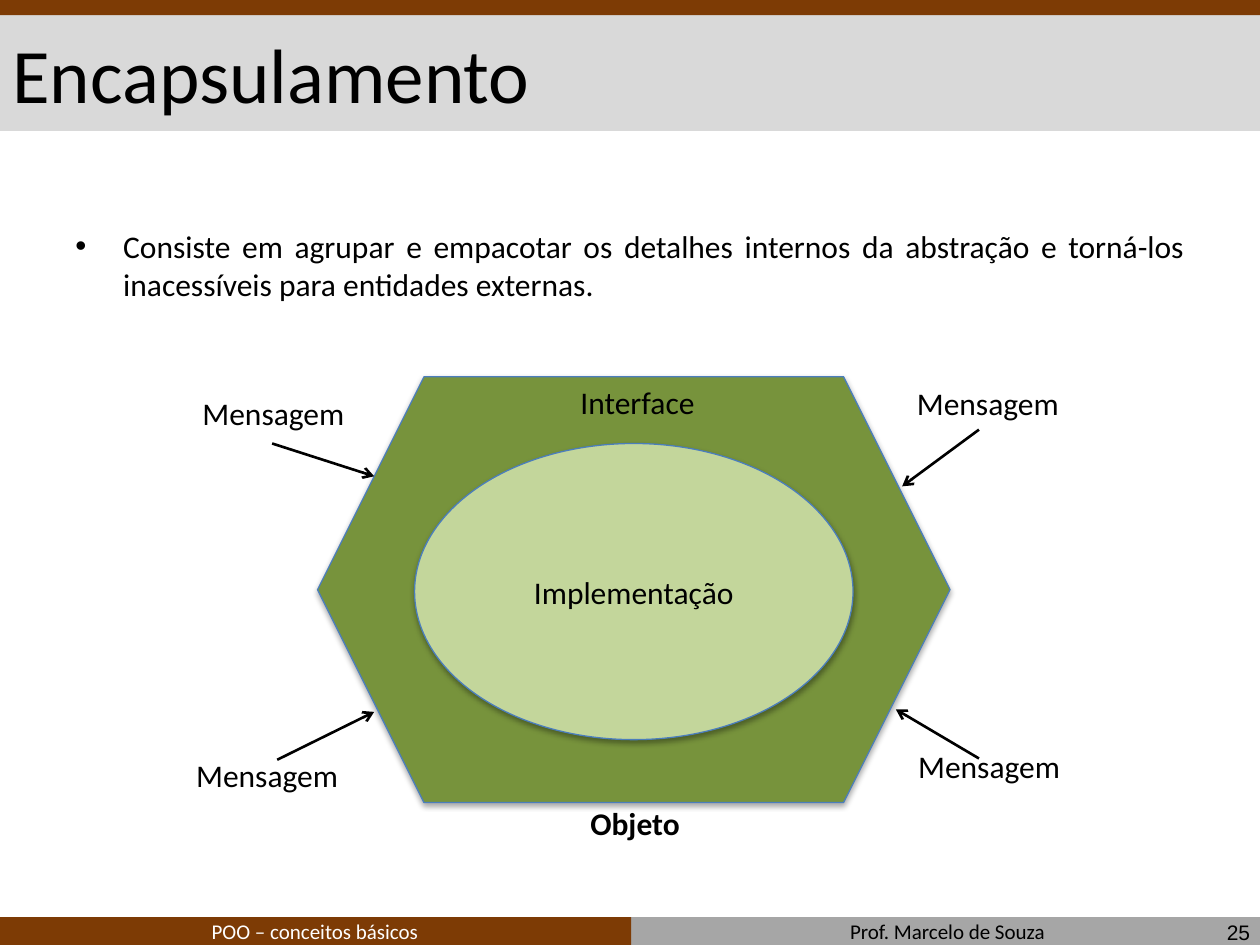
from lxml import etree
from pptx import Presentation
from pptx.dml.color import RGBColor
from pptx.enum import shapes, text
from pptx.oxml.ns import qn
from pptx.util import Inches, Pt

BLACK, WHITE = RGBColor(0, 0, 0), RGBColor(255, 255, 255)
BROWN = RGBColor(0x7D, 0x3B, 0x05)
GRAY, LIGHT_GRAY = RGBColor(0xA6, 0xA6, 0xA6), RGBColor(0xD9, 0xD9, 0xD9)
GREEN, LIGHT_GREEN = RGBColor(0x77, 0x93, 0x3C), RGBColor(0xC3, 0xD6, 0x9B)
BLUE = RGBColor(0x4B, 0x7E, 0xBC)
LEFT, CENTER = text.PP_ALIGN.LEFT, text.PP_ALIGN.CENTER
RIGHT, JUSTIFY = text.PP_ALIGN.RIGHT, text.PP_ALIGN.JUSTIFY
TOP, MIDDLE, BOTTOM = (text.MSO_ANCHOR.TOP, text.MSO_ANCHOR.MIDDLE,
                       text.MSO_ANCHOR.BOTTOM)
RECT, HEXAGON, OVAL = (shapes.MSO_SHAPE.RECTANGLE, shapes.MSO_SHAPE.HEXAGON,
                       shapes.MSO_SHAPE.OVAL)

# Content: boxes are (left, top, width, height) in inches
BANDS = [
    ((5, 7.28, 5.01, 0.24), GRAY),
    ((0, 7.28, 5.01, 0.24), BROWN),
    ((0, 0.11, 10, 0.93), LIGHT_GRAY),
    ((0, 0, 10.03, 0.12), BROWN),
]
DEFINITION = ("Consiste em agrupar e empacotar os detalhes internos da abstração "
              "e torná-los inacessíveis para entidades externas.")
TEXTS = [
    ("Prof. Marcelo de Souza", (5.01, 7.24, 5.02, 0.3), dict(size=12, anchor=BOTTOM)),
    ("POO – conceitos básicos", (0, 7.24, 5, 0.3),
     dict(size=12, anchor=BOTTOM, color=WHITE)),
    (DEFINITION, (0.5, 1.75, 9, 5.25),
     dict(align=JUSTIFY, anchor=TOP, before=12, bullet="•")),
    ("Encapsulamento", (0, 0.12, 10, 0.91), dict(size=44, align=LEFT)),
    ("25", (7.69, 7.23, 2.33, 0.33), dict(size=12, align=RIGHT, font="Arial")),
]
OBJECT_LABELS = [
    ("Interface", (3.36, 2.99, 3.4, 0.4), {}),
    ("Objeto", (3.34, 6.33, 3.4, 0.4), dict(bold=True)),
]
# Each message: label corner, arrow start, arrow end
MESSAGES = [
    ((1.48, 3.08), (2.16, 3.52), (2.97, 3.78)),
    ((7.15, 3), (7.77, 3.41), (7.16, 3.86)),
    ((1.43, 5.95), (2.2, 6.03), (2.97, 5.65)),
    ((7.16, 5.88), (7.77, 6.02), (7.11, 5.63)),
]

prs = Presentation()
prs.slide_width, prs.slide_height = Inches(10), Inches(7.5)
s = prs.slides.add_slide(prs.slide_layouts[6])


def write(sp, words, size=18, color=BLACK, font="Calibri", bold=False,
          align=CENTER, anchor=MIDDLE, before=0, bullet=None):
    tf = sp.text_frame
    tf.word_wrap, tf.vertical_anchor = True, anchor
    p = tf.paragraphs[0]
    p.alignment, p.space_before = align, Pt(before)
    if bullet:
        pPr = p._p.get_or_add_pPr()
        pPr.set("marL", str(Inches(0.38)))
        pPr.set("indent", str(-Inches(0.38)))
        etree.SubElement(pPr, qn("a:buFont"), typeface="Arial")
        etree.SubElement(pPr, qn("a:buChar"), char=bullet)
    r = p.add_run()
    r.text = words
    r.font.name, r.font.size, r.font.bold = font, Pt(size), bold
    r.font.color.rgb = color


def add_text(words, box, **fmt):
    write(s.shapes.add_textbox(*map(Inches, box)), words, **fmt)


def add_shape(kind, box, fill, line=None):
    sp = s.shapes.add_shape(kind, *map(Inches, box))
    sp.shadow.inherit = False
    sp.fill.solid()
    sp.fill.fore_color.rgb = fill
    if line is None:
        sp.line.fill.background()
    else:
        sp.line.color.rgb, sp.line.width = line, Pt(0.75)
    return sp


def add_shadow(sp):
    effects = sp._element.spPr.find(qn("a:effectLst"))
    shadow = etree.SubElement(effects, qn("a:outerShdw"), blurRad=str(Pt(3.1)),
                              dist=str(Pt(1.8)), dir="5400000", rotWithShape="0")
    color = etree.SubElement(shadow, qn("a:srgbClr"), val=str(BLACK))
    etree.SubElement(color, qn("a:alpha"), val="35000")


def add_arrow(start, end):
    c = s.shapes.add_connector(shapes.MSO_CONNECTOR.STRAIGHT,
                               *map(Inches, start + end))
    c.line.color.rgb, c.line.width = BLACK, Pt(1.5)
    etree.SubElement(c.line._get_or_add_ln(), qn("a:tailEnd"), type="arrow")
    etree.SubElement(c._element.spPr, qn("a:effectLst"))


# Header and footer bands, then slide text
for box, fill in BANDS:
    add_shape(RECT, box, fill)
for words, box, fmt in TEXTS:
    add_text(words, box, **fmt)

# Object: interface around implementation
interface = add_shape(HEXAGON, (2.52, 2.99, 5.02, 3.38), GREEN, BLUE)
implementation = add_shape(OVAL, (3.29, 3.52, 3.48, 2.35), LIGHT_GREEN, BLUE)
for sp in (interface, implementation):
    add_shadow(sp)
write(implementation, "Implementação")
for words, box, fmt in OBJECT_LABELS:
    add_text(words, box, **fmt)

# Messages reaching the interface
for corner, start, end in MESSAGES:
    add_arrow(start, end)
    add_text("Mensagem", corner + (1.38, 0.4))

prs.save("out.pptx")
